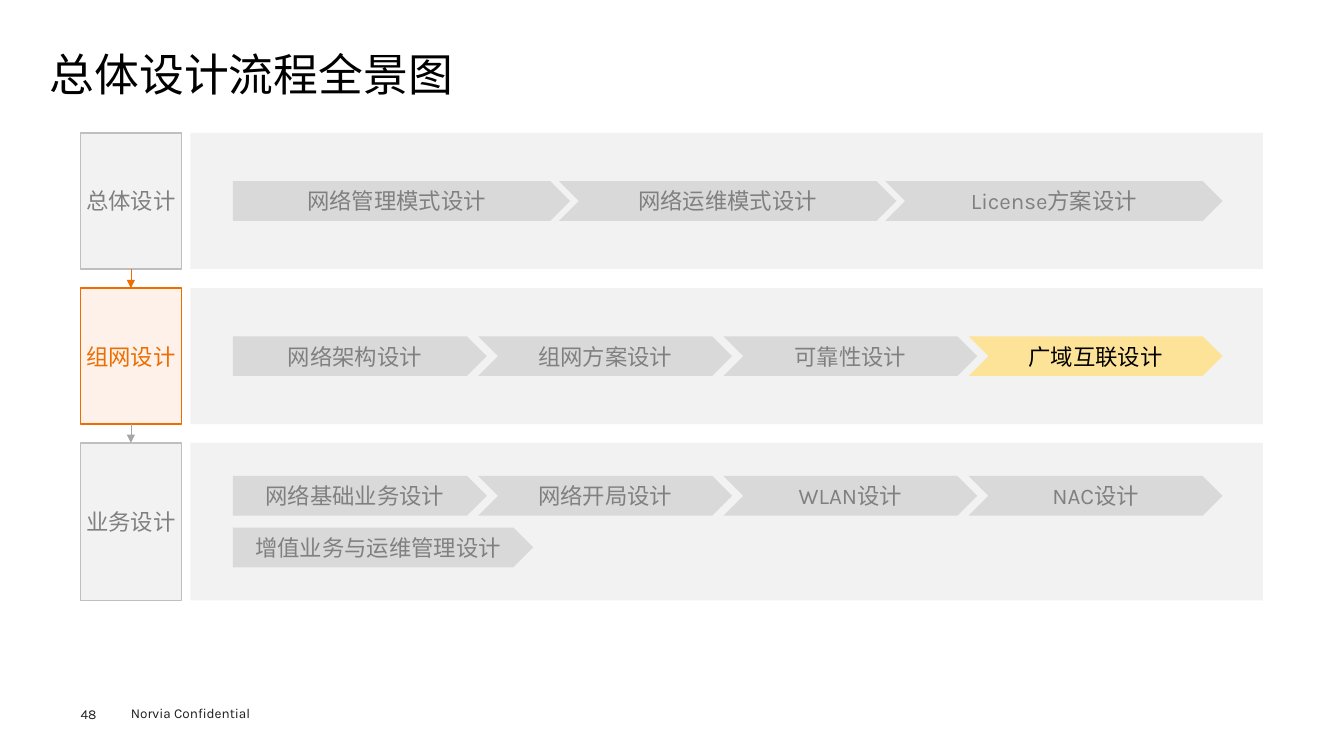
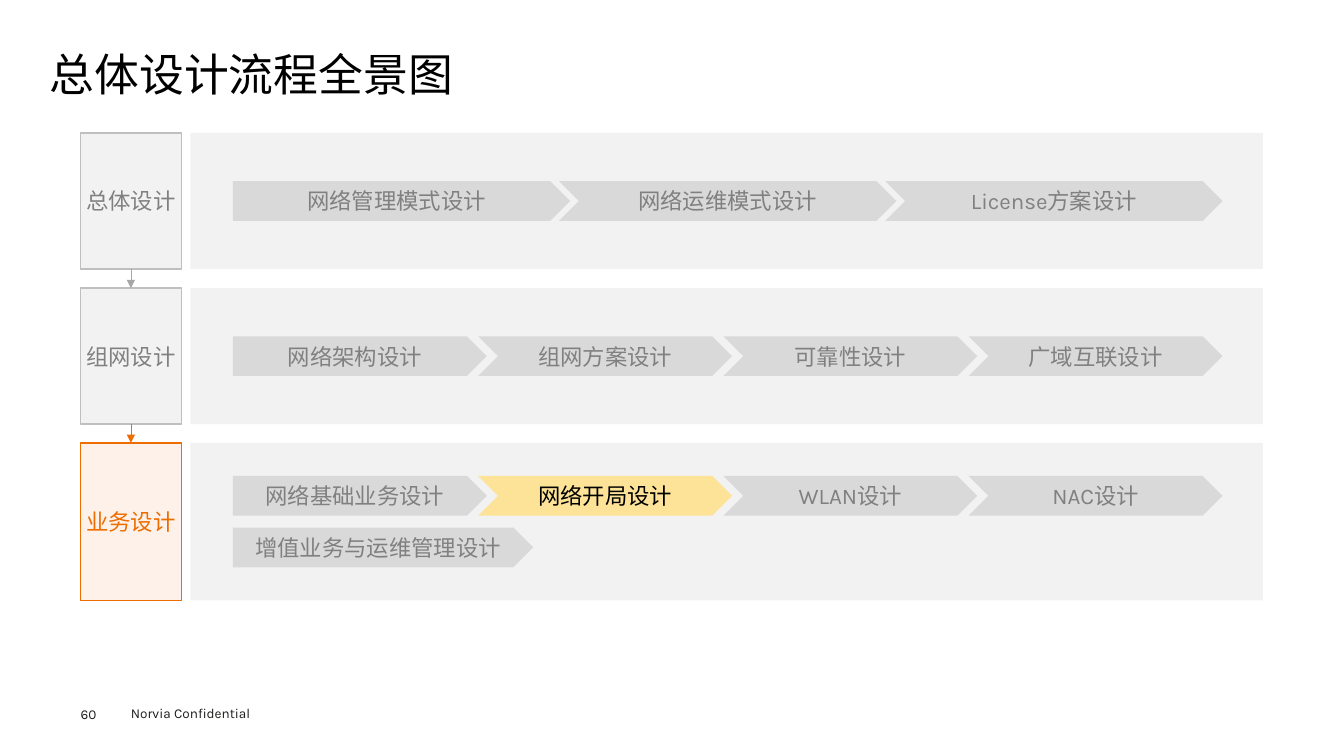
from lxml.etree import SubElement
from pptx import Presentation
from pptx.dml.color import RGBColor
from pptx.enum.lang import MSO_LANGUAGE_ID as Language
from pptx.enum.shapes import MSO_CONNECTOR as Connector, MSO_SHAPE as Preset
from pptx.enum.text import MSO_ANCHOR as Anchor, MSO_AUTO_SIZE as AutoSize, PP_ALIGN as Align
from pptx.oxml.ns import qn
from pptx.util import Cm, Pt

BLACK = RGBColor(0x00, 0x00, 0x00)
INK = RGBColor(0x1D, 0x1D, 0x1B)
GREY_TEXT = RGBColor(0x80, 0x80, 0x80)
GREY_ARROW = RGBColor(0xA6, 0xA6, 0xA6)
GREY_BORDER = RGBColor(0xBF, 0xBF, 0xBF)
GREY_STEP = RGBColor(0xD9, 0xD9, 0xD9)
GREY_PANEL = RGBColor(0xF2, 0xF2, 0xF2)
ORANGE = RGBColor(0xED, 0x6D, 0x00)
ORANGE_TINT = RGBColor(0xFD, 0xF1, 0xE9)
YELLOW = RGBColor(0xFD, 0xE3, 0x97)

FONT = "Karla"
TITLE = "总体设计流程全景图"
FOOTER = "Norvia Confidential"

# Stage name, top and height, then its rows of steps
STAGES = [
    ("总体设计", Cm(3.35), Cm(3.43),
     [["网络管理模式设计", "网络运维模式设计", "License方案设计"]]),
    ("组网设计", Cm(7.26), Cm(3.43),
     [["网络架构设计", "组网方案设计", "可靠性设计", "广域互联设计"]]),
    ("业务设计", Cm(11.16), Cm(3.97),
     [["网络基础业务设计", "网络开局设计", "WLAN设计", "NAC设计"],
      ["增值业务与运维管理设计"]]),
]
# Page number, current stage, current step
PAGES = [("48", "组网设计", "广域互联设计"), ("60", "业务设计", "网络开局设计")]

STAGE_LEFT, STAGE_WIDTH = Cm(2.03), Cm(2.54)
PANEL_LEFT, PANEL_WIDTH = Cm(4.8), Cm(27.03)
STEPS_LEFT, STEPS_WIDTH = Cm(5.87), Cm(24.94)
STEP_HEIGHT, STEP_PITCH = Cm(1), Cm(1.3)
STEP_WIDTHS = {1: Cm(7.57), 3: Cm(8.5), 4: Cm(6.4)}  # by steps in the row


def write(frame, text, size, color, align=Align.LEFT):
    paragraph = frame.paragraphs[0]
    paragraph.alignment = align
    run = paragraph.add_run()
    run.text = text
    font = run.font
    font.size, font.name, font.language_id = Pt(size), FONT, Language.SIMPLIFIED_CHINESE
    font.color.rgb = color
    SubElement(font._element, qn("a:ea"), typeface=FONT)
    return paragraph


def clear_margins(frame):
    frame.margin_left = frame.margin_right = frame.margin_top = frame.margin_bottom = 0


def add_block(slide, preset, left, top, width, height, fill, border=None):
    block = slide.shapes.add_shape(preset, left, top, width, height)
    block.shadow.inherit = False
    block.fill.solid()
    block.fill.fore_color.rgb = fill
    if border is None:
        block.line.fill.background()
    else:
        block.line.color.rgb = border
        block.line.width = Pt(1)
    block.text_frame.vertical_anchor = Anchor.MIDDLE
    return block


def add_title(slide):
    title = slide.shapes.title
    title.left, title.top, title.width, title.height = Cm(1.25), Cm(1.25), Cm(31.37), Cm(1.37)
    frame = title.text_frame
    clear_margins(frame)
    frame.auto_size = AutoSize.NONE
    frame.vertical_anchor = Anchor.MIDDLE
    write(frame, TITLE, 32, BLACK).line_spacing = 0.9


def add_footer(slide, number):
    page = slide.shapes.add_textbox(Cm(2.03), Cm(17.78), Cm(1.4), Cm(0.41)).text_frame
    clear_margins(page)
    write(page, number, 9.7, INK)
    notice = slide.shapes.add_textbox(Cm(3.05), Cm(17.65), Cm(4.06), Cm(0.69)).text_frame
    notice.word_wrap = True
    write(notice, FOOTER, 9.7, INK)


def add_stage(slide, name, top, height, current):
    fill, border, color = (
        (ORANGE_TINT, ORANGE, ORANGE) if current else (GREY_PANEL, GREY_BORDER, GREY_TEXT))
    stage = add_block(slide, Preset.RECTANGLE, STAGE_LEFT, top, STAGE_WIDTH, height, fill, border)
    clear_margins(stage.text_frame)
    write(stage.text_frame, name, 16, color, Align.CENTER)


def add_arrow(slide, start, end, color):
    """Draw a downward arrow between two stages."""
    x = STAGE_LEFT + STAGE_WIDTH // 2
    arrow = slide.shapes.add_connector(Connector.STRAIGHT, x, start, x, end)
    arrow.line.color.rgb = color
    arrow.line.width = Pt(0.5)
    SubElement(arrow.line._get_or_add_ln(), qn("a:tailEnd"), type="triangle")
    SubElement(arrow._element.spPr, qn("a:effectLst"))


def add_steps(slide, steps, top, current_step):
    """Spread one row of overlapping steps over the common width."""
    width = STEP_WIDTHS[len(steps)]
    pitch = (STEPS_WIDTH - width) // max(len(steps) - 1, 1)
    for index, name in enumerate(steps):
        preset = Preset.CHEVRON if index else Preset.PENTAGON
        fill, color = (YELLOW, BLACK) if name == current_step else (GREY_STEP, GREY_TEXT)
        step = add_block(slide, preset, STEPS_LEFT + index * pitch, top,
                         width, STEP_HEIGHT, fill)
        write(step.text_frame, name, 16, color, Align.CENTER)


def add_panel(slide, top, height, rows, current_step):
    """Draw a stage's panel with its rows of steps centred in it."""
    add_block(slide, Preset.RECTANGLE, PANEL_LEFT, top, PANEL_WIDTH, height, GREY_PANEL)
    rows_height = STEP_HEIGHT + (len(rows) - 1) * STEP_PITCH
    first_top = top + (height - rows_height) // 2
    for index, steps in enumerate(rows):
        add_steps(slide, steps, first_top + index * STEP_PITCH, current_step)


def add_flow(slide, current_stage, current_step):
    previous_bottom = None
    for name, top, height, rows in STAGES:
        current = name == current_stage
        add_stage(slide, name, top, height, current)
        if previous_bottom is not None:
            add_arrow(slide, previous_bottom, top, ORANGE if current else GREY_ARROW)
        add_panel(slide, top, height, rows, current_step)
        previous_bottom = top + height


def main():
    deck = Presentation()
    deck.slide_width, deck.slide_height = Cm(33.87), Cm(19.05)
    title_only = deck.slide_layouts[5]
    for number, current_stage, current_step in PAGES:
        slide = deck.slides.add_slide(title_only)
        add_title(slide)
        add_footer(slide, number)
        add_flow(slide, current_stage, current_step)
    deck.save("out.pptx")


if __name__ == "__main__":
    main()
